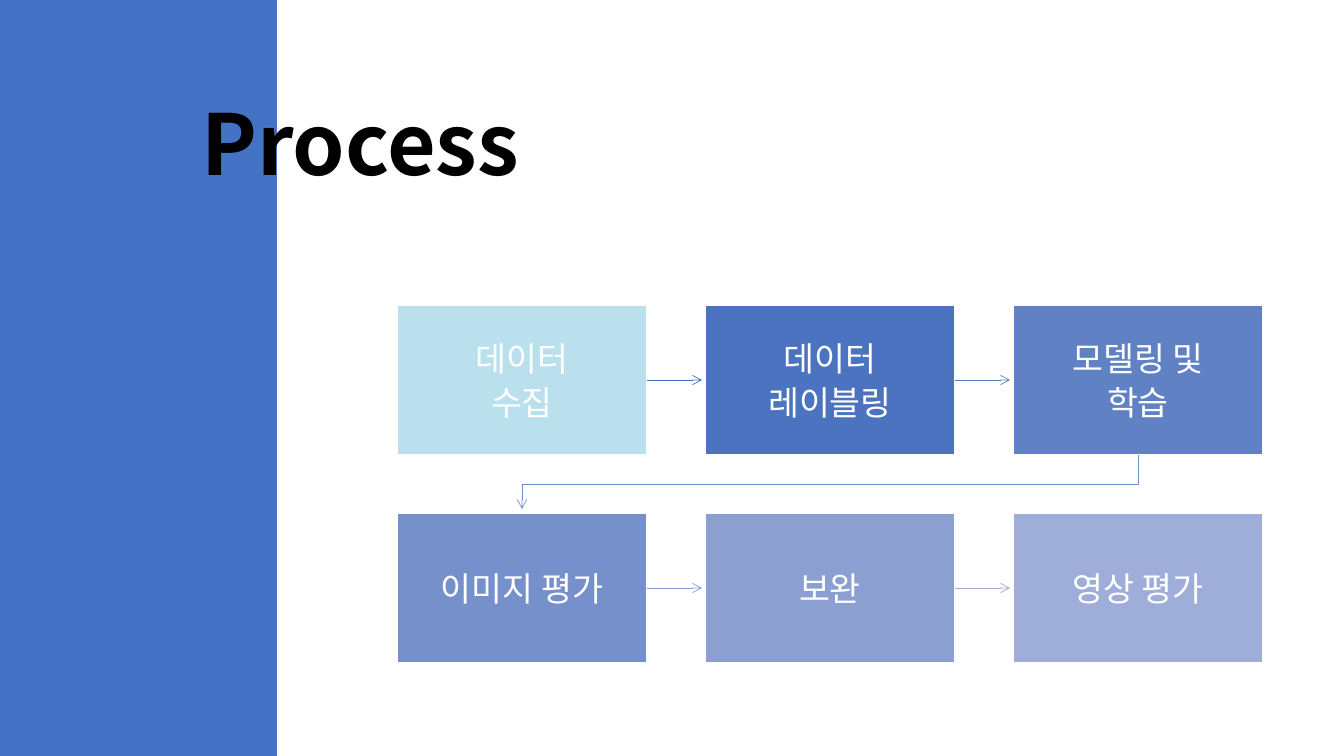
from dataclasses import dataclass

from lxml.etree import SubElement
from pptx import Presentation
from pptx.dml.color import RGBColor
from pptx.enum.shapes import MSO_CONNECTOR as CONNECTOR, MSO_SHAPE as SHAPE
from pptx.enum.text import MSO_ANCHOR as ANCHOR, PP_ALIGN as ALIGN
from pptx.oxml.ns import qn
from pptx.util import Pt


@dataclass(frozen=True)
class Theme:
    font: str = "Noto Sans CJK KR"
    panel: str = "4472C4"
    title: str = "000000"
    white: str = "FFFFFF"
    title_size: int = 60
    step_size: int = 24
    steps: tuple = ("BAE0ED", "4C73BF", "6181C5", "7690CB", "8B9FD1", "9FAED8")
    arrows: tuple = ("416DBB", "587CC3", "708CC9", "879CD0", "9EADD8")


THEME = Theme()
PX = 12700 * 5 / 7


def px(*lengths):
    return [round(length * PX) for length in lengths]


def write(frame, text, *, size, color, bold=False, align=ALIGN.LEFT,
          anchor=ANCHOR.TOP, inset=(10, 5), line_spacing=1.0, after=0):
    frame.word_wrap = True
    frame.vertical_anchor = anchor
    frame.margin_left = frame.margin_right = px(inset[0])[0]
    frame.margin_top = frame.margin_bottom = px(inset[1])[0]
    frame.text = text
    for paragraph in frame.paragraphs:
        paragraph.alignment = align
        paragraph.line_spacing = line_spacing
        paragraph.space_after = Pt(after)
        for run in paragraph.runs:
            run.font.size = Pt(size)
            run.font.bold = bold
            run.font.name = THEME.font
            run.font.color.rgb = RGBColor.from_string(color)
            SubElement(run.font._element, qn("a:ea")).set("typeface", THEME.font)


deck = Presentation()
deck.slide_width, deck.slide_height = px(1344, 756)
slide = deck.slides.add_slide(deck.slide_layouts[6])
shapes = slide.shapes

panel = shapes.add_shape(SHAPE.RECTANGLE, *px(0, 0, 277, 756))
panel.shadow.inherit = False
panel.fill.solid()
panel.fill.fore_color.rgb = RGBColor.from_string(THEME.panel)
panel.line.fill.background()

title = shapes.add_textbox(*px(191, 98, 408, 112))
write(title.text_frame, "Process", size=THEME.title_size, color=THEME.title,
      bold=True, line_spacing=0.9)

LEFT, TOP, WIDTH, HEIGHT = 397, 305, 250, 150
COLUMNS, COLUMN_PITCH, ROW_PITCH = 3, 308, 208
steps = ["데이터\n수집", "데이터\n레이블링", "모델링 및\n학습",
         "이미지 평가", "보완", "영상 평가"]

for index, (label, color) in enumerate(zip(steps, THEME.steps)):
    row, column = divmod(index, COLUMNS)
    x, y = LEFT + column * COLUMN_PITCH, TOP + row * ROW_PITCH
    step = shapes.add_shape(SHAPE.RECTANGLE, *px(x, y, WIDTH, HEIGHT))
    step.shadow.inherit = False
    step.fill.solid()
    step.fill.fore_color.rgb = RGBColor.from_string(color)
    step.line.color.rgb = RGBColor.from_string(THEME.white)
    step.line.width = Pt(1)
    write(step.text_frame, label, size=THEME.step_size, color=THEME.white,
          align=ALIGN.CENTER, anchor=ANCHOR.MIDDLE, inset=(19, 19), after=2.4)

    if index == len(steps) - 1:
        continue
    if column < COLUMNS - 1:
        middle = y + HEIGHT // 2
        arrow = shapes.add_connector(
            CONNECTOR.STRAIGHT, *px(x + WIDTH, middle, x + WIDTH + 55, middle))
        SubElement(arrow._element.spPr, qn("a:effectLst"))
    else:
        start, end, bottom = x + WIDTH // 2, LEFT + WIDTH // 2, y + HEIGHT
        turn = bottom + (ROW_PITCH - HEIGHT) // 2
        builder = shapes.build_freeform(start, bottom, scale=PX)
        builder.add_line_segments(
            [(start, turn), (end, turn), (end, bottom + 54)], close=False)
        arrow = builder.convert_to_shape()
        arrow.shadow.inherit = False
        arrow.fill.background()
    arrow.line.color.rgb = RGBColor.from_string(THEME.arrows[index])
    arrow.line.width = Pt(0.5)
    SubElement(arrow.line._get_or_add_ln(), qn("a:tailEnd")).set("type", "arrow")

deck.save("out.pptx")
